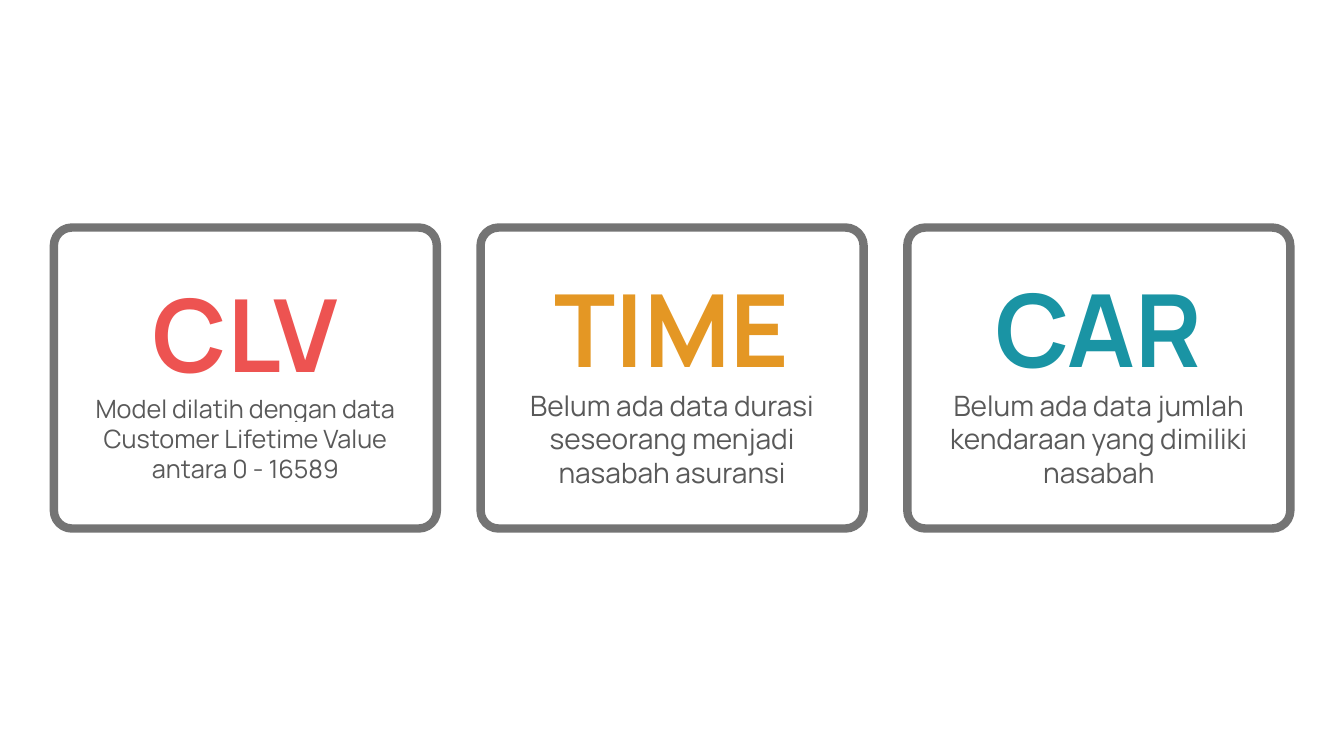
from lxml import etree
from pptx import Presentation
from pptx import util as u
from pptx.dml import color
from pptx.enum import shapes, text
from pptx.oxml import ns


def paint(target, hex_color):
    """Give a fill or line fill a solid colour."""
    target.solid()
    target.fore_color.rgb = color.RGBColor.from_string(hex_color)


def write(paragraph, content, *, size, hex_color, font, bold=False, highlight=None):
    """Write centred, formatted text into a paragraph."""
    paragraph.alignment = text.PP_ALIGN.CENTER
    run = paragraph.add_run()
    run.text = content
    run.font.size = u.Pt(size)
    run.font.bold = bold
    paint(run.font.fill, hex_color)
    if highlight:
        marker = etree.SubElement(run.font.fill._xPr, ns.qn("a:highlight"))
        etree.SubElement(marker, ns.qn("a:srgbClr"), val=highlight)
    run.font.name = font


class CardSlide:
    """Hold the style and the slide on which cards are drawn."""

    font = "Manrope"
    background = "FFFFFF"
    border = "747474"
    body_color = "595959"

    def __init__(self, slide):
        """Keep the slide to draw on."""
        self.slide = slide

    def card(self, left, top, width, height, heading, heading_color,
             body, body_size, highlight=None):
        """Draw a rounded card with a large heading and a description."""
        shape = self.slide.shapes.add_shape(
            shapes.MSO_SHAPE.ROUNDED_RECTANGLE,
            u.Pt(left), u.Pt(top), u.Pt(width), u.Pt(height),
        )
        shape.adjustments[0] = 0.06
        shape.shadow.inherit = False
        paint(shape.fill, self.background)
        paint(shape.line.fill, self.border)
        shape.line.width = u.Pt(6)
        frame = shape.text_frame
        frame.word_wrap = True
        frame.vertical_anchor = text.MSO_ANCHOR.MIDDLE
        write(frame.paragraphs[0], heading, size=72, hex_color=heading_color,
              font=self.font, bold=True)
        write(frame.add_paragraph(), body, size=body_size,
              hex_color=self.body_color, font=self.font, highlight=highlight)


def main():
    """Build the slide with its three data limits and save it."""
    presentation = Presentation()
    presentation.slide_width = u.Pt(960)
    presentation.slide_height = u.Pt(540)
    page = CardSlide(presentation.slides.add_slide(presentation.slide_layouts[6]))
    limits = [
        ("CLV", "ED5351",
         "Model dilatih dengan data Customer Lifetime Value antara 0 - 16589",
         18, page.background),
        ("TIME", "E49724",
         "Belum ada data durasi seseorang menjadi nasabah asuransi", 20),
        ("CAR", "1A94A4",
         "Belum ada data jumlah kendaraan yang dimiliki nasabah", 20),
    ]
    left, width, gap = 38.5, 273.6, 31.2
    for index, limit in enumerate(limits):
        page.card(left + index * (width + gap), 162.5, width, 215, *limit)
    presentation.save("out.pptx")


if __name__ == "__main__":
    main()
